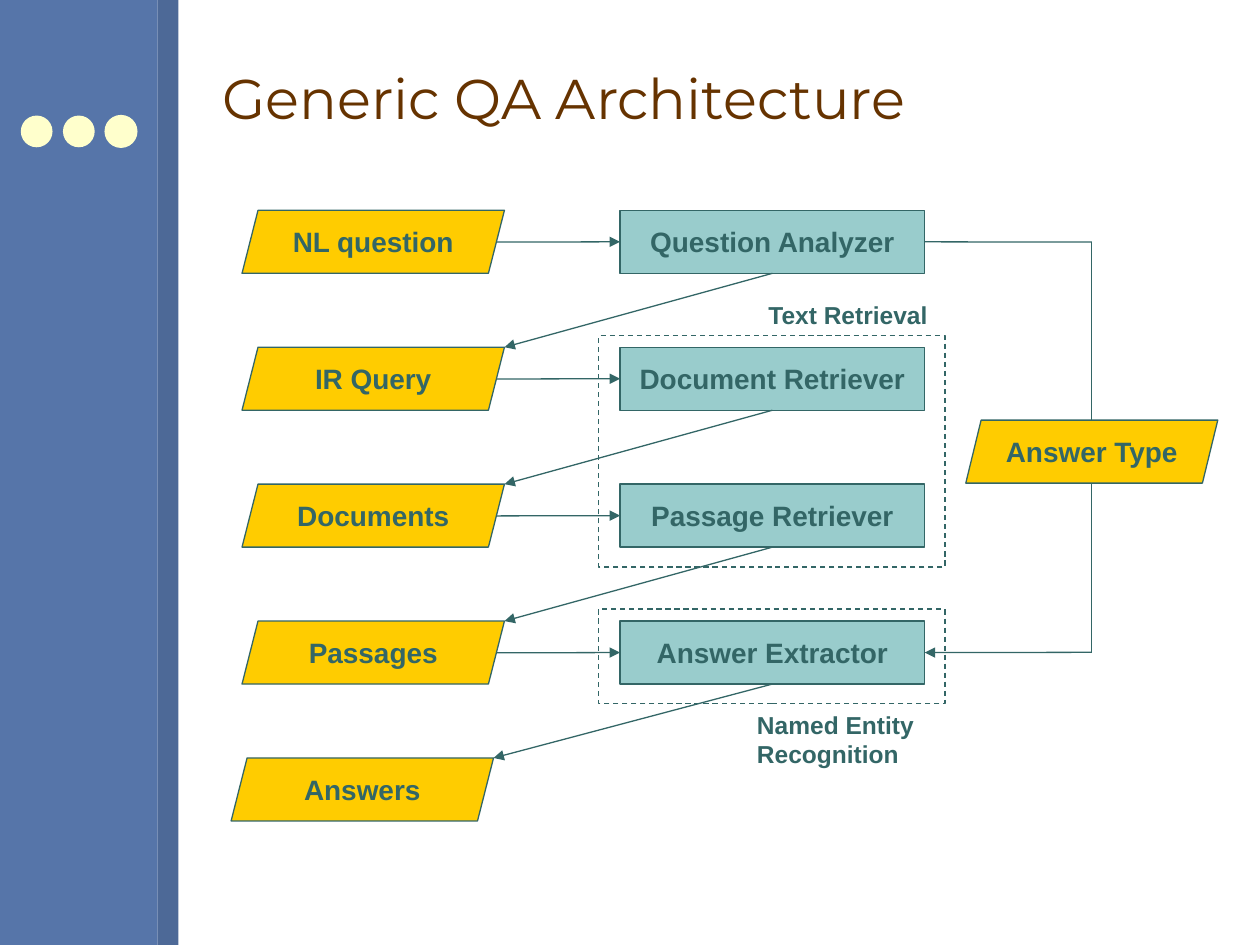
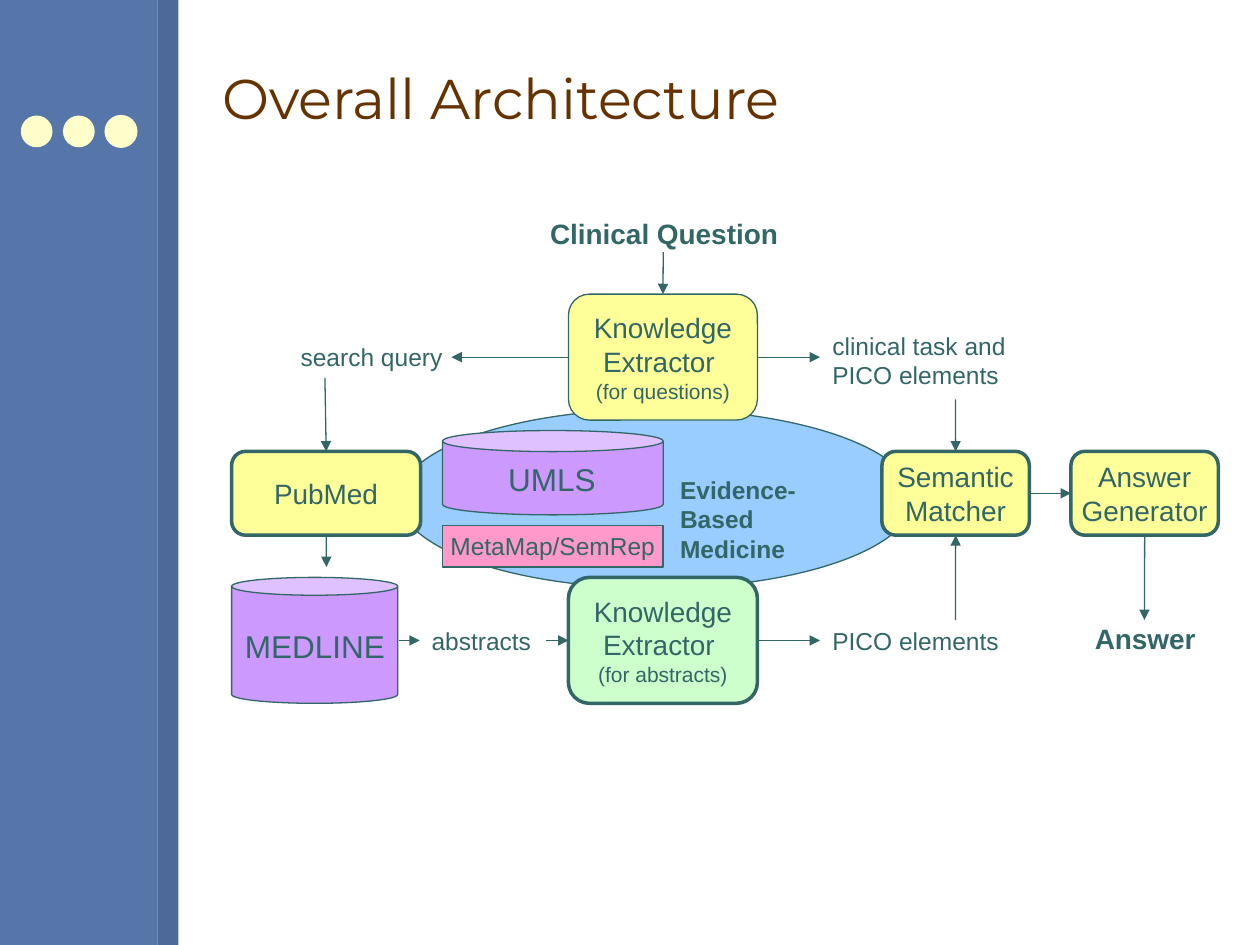
"""Builds two slides on question answering architecture."""
from lxml import etree
from pptx import Presentation, util as u
from pptx.dml.color import RGBColor
from pptx.enum import dml, shapes, text
from pptx.oxml import ns

HUES = {
    "band": "5675A9", "edge": "4D6997", "dot": "FFFFCC", "title": "663300",
    "ink": "336666", "gold": "FFCC00", "teal": "99CCCC", "sky": "99CCFF",
    "pink": "FF99CC", "plum": "CC99FF", "lemon": "FFFF99", "mint": "CCFFCC",
}
FORM = shapes.MSO_SHAPE
TOP, LEFT, BOTTOM, RIGHT = range(4)


def hue(name):
    return RGBColor.from_string(HUES[name])


class Deck:
    def __init__(self):
        self.prs = Presentation()
        self.prs.slide_width, self.prs.slide_height = u.Cm(25.4), u.Cm(19.05)
        self.slide = None

    def start(self, title):
        self.slide = self.prs.slides.add_slide(self.prs.slide_layouts[5])
        self.shape(FORM.RECTANGLE, (0, 0, 3.18, 19.05), "band", None)
        self.shape(FORM.RECTANGLE, (3.18, 0, 0.42, 19.05), "edge", None)
        for i, rim in enumerate((None, None, "dot")):
            self.shape(FORM.OVAL, (0.42 + 0.85 * i, 2.33, 0.64, 0.64), "dot", rim)
        head = self.slide.shapes.title
        head.left, head.top, head.width, head.height = map(u.Cm, (4.23, 0.53, 20.32, 2.86))
        head.text_frame.auto_size = text.MSO_AUTO_SIZE.NONE
        head.text_frame.vertical_anchor = text.MSO_ANCHOR.MIDDLE
        self.label(head, [title], 32, font="Montserrat", tint="title", center=False)
        head.text_frame.word_wrap = True

    def label(self, shape, lines, size, bold=False, font="Arial", tint="ink", center=True, last=None):
        frame = shape.text_frame
        frame.word_wrap = False
        frame.text = "\n".join(lines)
        for para in frame.paragraphs:
            para.alignment = text.PP_ALIGN.CENTER if center else text.PP_ALIGN.LEFT
            for run in para.runs:
                run.font.size, run.font.bold, run.font.name = u.Pt(size), bold, font
                run.font.color.rgb = hue(tint)
        if last:
            frame.paragraphs[-1].runs[0].font.size = u.Pt(last)

    def shape(self, form, box, fill, rim="ink", width=0.75, adj=None):
        item = self.slide.shapes.add_shape(form, *map(u.Cm, box))
        item.shadow.inherit = False
        if fill:
            item.fill.solid()
            item.fill.fore_color.rgb = hue(fill)
        else:
            item.fill.background()
        if rim:
            item.line.color.rgb = hue(rim)
            item.line.width = u.Pt(width)
        else:
            item.line.fill.background()
        if adj:
            item.adjustments[0] = adj
        return item

    def node(self, form, box, fill, lines, size=16, bold=False, last=None, **look):
        item = self.shape(form, box, fill, **look)
        item.text_frame.vertical_anchor = text.MSO_ANCHOR.MIDDLE
        self.label(item, lines, size, bold, last=last)
        return item

    def data(self, box, label, adj=0.254):
        return self.node(FORM.PARALLELOGRAM, box, "gold", [label], bold=True, adj=adj)

    def card(self, box, fill, *lines, width=2, last=None):
        return self.node(FORM.ROUNDED_RECTANGLE, box, fill, lines, width=width, last=last)

    def store(self, box, adj, label, spot):
        self.shape(FORM.CAN, box, "plum", adj=adj)
        self.note(spot, label, size=18, center=True)

    def frame(self, box):
        self.shape(FORM.RECTANGLE, box, None).line.dash_style = dml.MSO_LINE.DASH

    def note(self, box, *lines, size=14, bold=False, center=False):
        item = self.slide.shapes.add_textbox(*map(u.Cm, box))
        self.label(item, lines, size, bold, center=center)
        item.text_frame.auto_size = text.MSO_AUTO_SIZE.SHAPE_TO_FIT_TEXT

    def link(self, start, end, tip=True):
        glued = [hasattr(spot[0], "shape_id") for spot in (start, end)]
        ends = [(0, 0) if g else spot for g, spot in zip(glued, (start, end))]
        line = self.slide.shapes.add_connector(
            shapes.MSO_CONNECTOR.STRAIGHT, *(u.Cm(n) for spot in ends for n in spot))
        if glued[0]:
            line.begin_connect(*start)
        if glued[1]:
            line.end_connect(*end)
        line.line.color.rgb = hue("ink")
        line.line.width = u.Pt(0.75)
        if tip:
            etree.SubElement(line.line._get_or_add_ln(), ns.qn("a:tailEnd"), type="triangle")
        etree.SubElement(line._element.spPr, ns.qn("a:effectLst"))


def generic(deck):
    deck.start("Generic QA Architecture")
    steps = []
    pairs = [("NL question", "Question Analyzer"), ("IR Query", "Document Retriever"),
             ("Documents", "Passage Retriever"), ("Passages", "Answer Extractor"),
             ("Answers", None)]
    for i, (label, task) in enumerate(pairs):
        left, top = 4.88 if task else 4.66, 4.24 + 2.76 * i
        deck.data((left, top, 5.29, 1.27), label)
        if steps:
            deck.link((steps[-1], BOTTOM), (left + 5.29, top))
        if task:
            step = deck.node(FORM.RECTANGLE, (12.5, top, 6.14, 1.27), "teal", [task], bold=True)
            deck.link((10, top + 0.64), (step, LEFT))
            steps.append(step)

    deck.data((19.47, 8.47, 5.08, 1.27), "Answer Type", adj=0.244)
    turn, low, high = 22.01, 13.15, 4.88
    deck.link((steps[0], RIGHT), (turn, high), tip=False)
    deck.link((turn, 8.47), (turn, high), tip=False)
    deck.link((turn, low), (turn, 9.74), tip=False)
    deck.link((turn, low), (steps[-1], RIGHT))

    deck.frame((12.07, 6.77, 6.98, 4.66))
    deck.note((15.24, 5.92, 3.76, 0.86), "Text Retrieval", bold=True)
    deck.frame((12.07, 12.28, 6.98, 1.9))
    deck.note((15.01, 14.18, 6.65, 0.86), "Named Entity Recognition", bold=True)


def overall(deck):
    deck.start("Overall Architecture")
    deck.shape(FORM.OVAL, (8.05, 8.25, 10.36, 3.61), "sky")
    deck.node(FORM.RECTANGLE, (8.92, 10.59, 4.45, 0.84), "pink", ["MetaMap/SemRep"], size=14)
    deck.store((8.92, 8.68, 4.45, 1.7), 0.25, "UMLS", (9.12, 9.14, 4.01, 1.02))
    deck.store((4.67, 11.64, 3.35, 2.54), 0.142, "MEDLINE", (4.65, 12.52, 3.4, 1.02))

    match = deck.card((17.78, 9.1, 2.97, 1.69), "lemon", "Semantic", "Matcher")
    maker = deck.card((21.59, 9.1, 2.97, 1.69), "lemon", "Answer", "Generator")
    search = deck.card((4.67, 9.1, 3.81, 1.69), "lemon", "PubMed")
    digest = deck.card((11.46, 11.64, 3.81, 2.54), "mint",
                       "Knowledge", "Extractor ", "(for abstracts)", last=12)
    query = deck.card((11.46, 5.93, 3.81, 2.54), "lemon",
                      "Knowledge", "Extractor ", "(for questions)", width=0.75, last=12)

    deck.note((13.46, 9.45, 4.32, 1.45), "Evidence-Based", "Medicine", bold=True)
    deck.note((16.53, 6.55, 4.14, 1.45), "clinical task and", "PICO elements")
    deck.note((10.84, 4.24, 5.1, 0.94), "Clinical Question", size=16, bold=True)
    deck.note((21.82, 12.4, 2.54, 0.94), "Answer", size=16, bold=True)
    deck.note((16.53, 12.5, 3.99, 0.86), "PICO elements")
    deck.note((5.81, 6.78, 3.5, 0.86), "search query")
    deck.note((8.45, 12.5, 2.51, 0.86), "abstracts")

    upper, lower = 7.2, 12.91
    for start, end in [
        ((13.37, 5.08), (query, TOP)),
        ((query, LEFT), (9.1, upper)),
        ((query, RIGHT), (16.53, upper)),
        ((6.55, 7.62), (search, TOP)),
        ((search, BOTTOM), (6.58, 11.43)),
        ((8.04, lower), (8.46, lower)),
        ((11, lower), (digest, LEFT)),
        ((digest, RIGHT), (16.53, lower)),
        ((19.26, 8.05), (match, TOP)),
        ((19.26, 12.5), (match, BOTTOM)),
        ((match, RIGHT), (maker, LEFT)),
        ((maker, BOTTOM), (23.07, 12.5)),
    ]:
        deck.link(start, end)


def main():
    deck = Deck()
    generic(deck)
    overall(deck)
    deck.prs.save("out.pptx")


if __name__ == "__main__":
    main()
